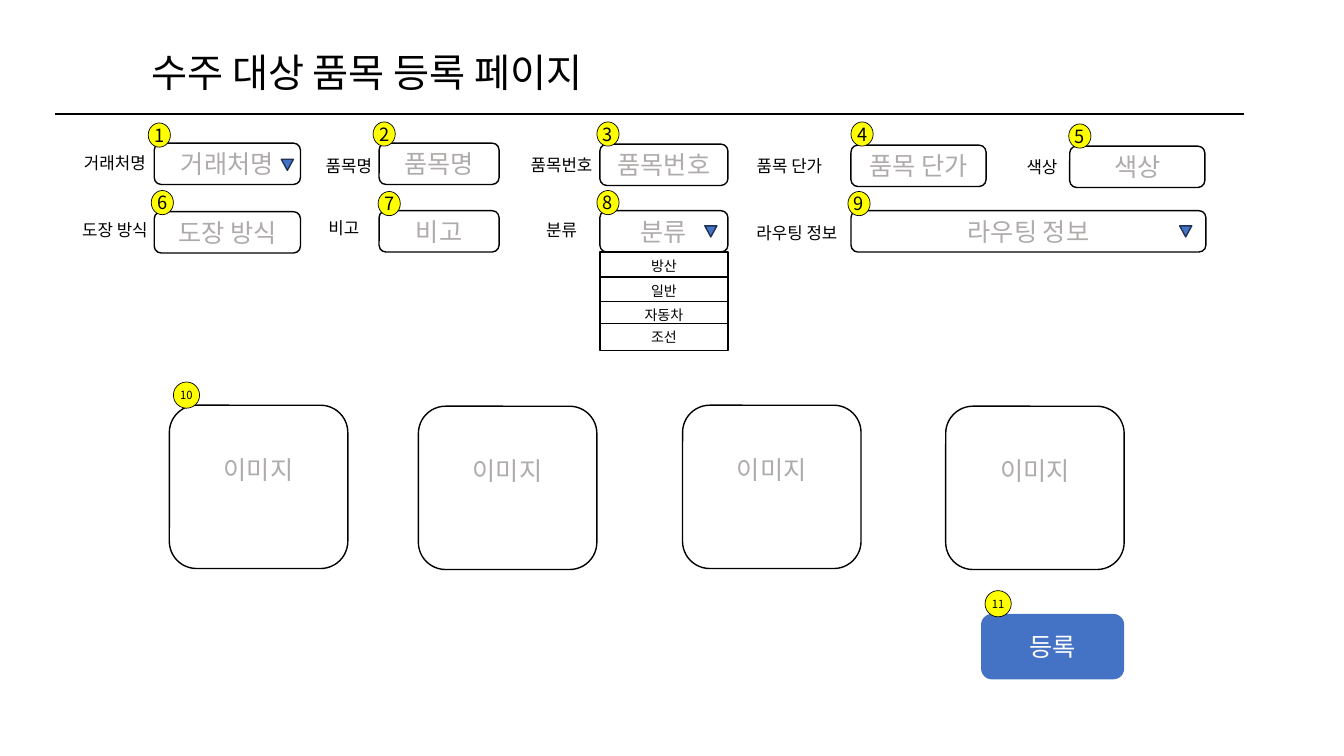
from lxml import etree
from pptx import Presentation
from pptx.dml.color import RGBColor
from pptx.enum import shapes, text
from pptx.oxml import ns
from pptx.util import Inches, Pt

FONT = "Noto Sans CJK KR"
BLACK = RGBColor(0x00, 0x00, 0x00)
WHITE = RGBColor(0xFF, 0xFF, 0xFF)
GRAY = RGBColor(0xAF, 0xAB, 0xAB)
BLUE = RGBColor(0x44, 0x72, 0xC4)
NAVY = RGBColor(0x1E, 0x32, 0x56)
YELLOW = RGBColor(0xFF, 0xFF, 0x00)

TITLE = "수주 대상 품목 등록 페이지"
FIELD_HEIGHT = 0.41
# name, field (left, top, width), label (left, top, width), badge (left, top)
FIELDS = [
    ("거래처명", (1.53, 1.42, 1.45), (0.58, 1.41, 1.12), (1.47, 1.22)),
    ("품목명", (3.76, 1.42, 1.19), (2.9, 1.44, 1.12), (3.7, 1.21)),
    ("품목번호", (5.95, 1.43, 1.27), (5.01, 1.43, 1.12), (5.92, 1.21)),
    ("품목 단가", (8.44, 1.44, 1.34), (7.27, 1.44, 1.12), (8.44, 1.21)),
    ("색상", (10.61, 1.45, 1.34), (9.9, 1.45, 0.87), (10.6, 1.23)),
    ("도장 방식", (1.53, 2.1, 1.45), (0.58, 2.07, 1.12), (1.5, 1.89)),
    ("비고", (3.76, 2.09, 1.19), (2.85, 2.06, 1.12), (3.75, 1.9)),
    ("분류", (5.95, 2.09, 1.27), (5.01, 2.07, 1.12), (5.92, 1.89)),
    ("라우팅 정보", (8.44, 2.09, 3.52), (7.27, 2.1, 1.27), (8.41, 1.9)),
]
ARROWS = [(2.79, 1.58), (6.99, 2.24), (11.7, 2.24)]
OPTIONS = [("방산", 2.5), ("일반", 2.75), ("자동차", 2.99), ("조선", 3.21)]
IMAGES = [(1.68, 4.02), (4.15, 4.03), (6.77, 4.02), (9.38, 4.03)]
LARGE_BADGES = [("10", 1.72, 3.79), ("11", 9.77, 5.86)]

KIND = shapes.MSO_SHAPE


def add_run(paragraph, words, size, color):
    run = paragraph.add_run()
    run.text = words
    run.font.size = Pt(size)
    run.font.name = FONT
    run.font.color.rgb = color
    east_asian = etree.SubElement(run.font._element, ns.qn("a:ea"))
    east_asian.set("typeface", FONT)


def add_box(slide, kind, place, fill=None, line=None, weight=1,
            words="", size=18, color=BLACK, inset=0, bottom=0):
    shape = slide.shapes.add_shape(kind, *map(Inches, place))
    shape.shadow.inherit = False
    if fill is None:
        shape.fill.background()
    else:
        shape.fill.solid()
        shape.fill.fore_color.rgb = fill
    if line is None:
        shape.line.fill.background()
    else:
        shape.line.color.rgb = line
        shape.line.width = Pt(weight)
    if words:
        frame = shape.text_frame
        frame.margin_left = frame.margin_right = Inches(inset)
        frame.margin_top = 0
        frame.margin_bottom = Inches(bottom)
        frame.word_wrap = inset > 0
        frame.vertical_anchor = text.MSO_ANCHOR.MIDDLE
        paragraph = frame.paragraphs[0]
        paragraph.alignment = text.PP_ALIGN.CENTER
        add_run(paragraph, words, size, color)


def add_title(slide):
    title = slide.shapes.title
    title.left, title.top, title.width, title.height = map(Inches, (1.4, 0.43, 7.6, 0.57))
    frame = title.text_frame
    frame.auto_size = text.MSO_AUTO_SIZE.NONE
    frame.word_wrap = True
    frame.vertical_anchor = text.MSO_ANCHOR.MIDDLE
    paragraph = frame.paragraphs[0]
    paragraph.alignment = text.PP_ALIGN.LEFT
    paragraph.line_spacing = 1.0
    add_run(paragraph, TITLE, 28, BLACK)

    rule = slide.shapes.add_connector(
        shapes.MSO_CONNECTOR.STRAIGHT, *map(Inches, (0.55, 1.13, 12.34, 1.13)))
    rule.line.color.rgb = BLACK
    rule.line.width = Pt(1.5)
    etree.SubElement(rule._element.spPr, ns.qn("a:effectLst"))


def main():
    presentation = Presentation()
    presentation.slide_width = Inches(13.33)
    presentation.slide_height = Inches(7.5)
    slide = presentation.slides.add_slide(presentation.slide_layouts[5])
    add_title(slide)

    for name, field, label, badge in FIELDS:
        add_box(slide, KIND.ROUNDED_RECTANGLE, (*field, FIELD_HEIGHT), WHITE, BLACK,
                words=name, color=GRAY, inset=0.1)
    for left, top in IMAGES:
        add_box(slide, KIND.ROUNDED_RECTANGLE, (left, top, 1.77, 1.62), WHITE, BLACK,
                words="이미지", color=GRAY, inset=0.1, bottom=0.34)
    add_box(slide, KIND.ROUNDED_RECTANGLE, (9.73, 6.09, 1.42, 0.65), BLUE,
            words="등록", color=WHITE, inset=0.1)
    for name, field, label, badge in FIELDS:
        add_box(slide, KIND.ROUNDED_RECTANGLE, (*label, FIELD_HEIGHT),
                words=name, size=12, inset=0.1)
    for left, top in ARROWS:
        add_box(slide, KIND.FLOWCHART_MERGE, (left, top, 0.12, 0.11), BLUE, NAVY)
    for option, top in OPTIONS:
        add_box(slide, KIND.RECTANGLE, (5.95, top, 1.27, 0.27), WHITE, BLACK,
                words=option, size=10, inset=0.1)
    for number, (name, field, label, badge) in enumerate(FIELDS, 1):
        add_box(slide, KIND.FLOWCHART_CONNECTOR, (*badge, 0.22, 0.24), YELLOW, BLACK, 0.5,
                words=str(number), size=13)
    for number, left, top in LARGE_BADGES:
        add_box(slide, KIND.FLOWCHART_CONNECTOR, (left, top, 0.26, 0.26), YELLOW, BLACK, 0.5,
                words=number, size=8)

    presentation.save("out.pptx")


if __name__ == "__main__":
    main()
